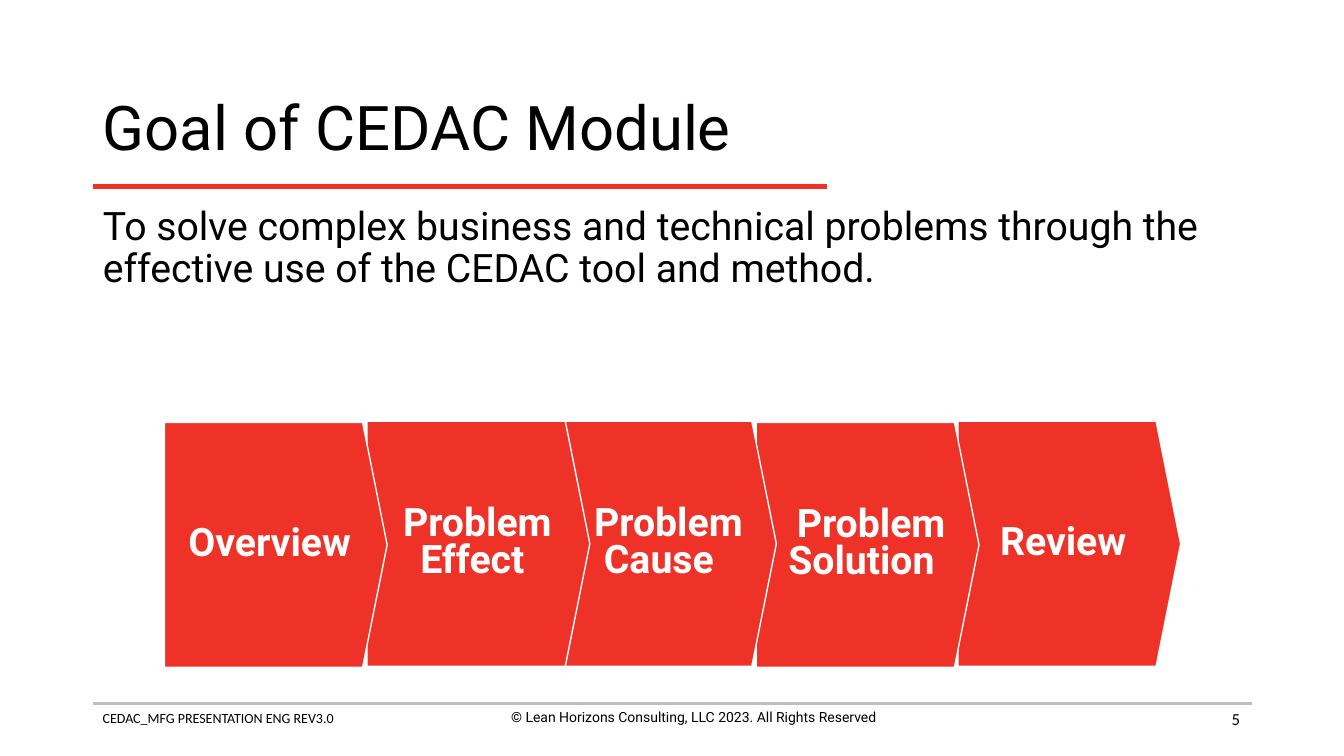
"""Build the CEDAC module goal slide with its five-stage process arrow."""
from dataclasses import dataclass

from lxml import etree
from pptx import Presentation
from pptx import util as u
from pptx.dml.color import RGBColor
from pptx.enum import shapes, text
from pptx.oxml.ns import qn

PX = 9144
COLORS = {"red": "EE3228", "grey": "BFBFBF", "black": "000000", "white": "FFFFFF"}
LEFT, CENTER, RIGHT = text.PP_ALIGN.LEFT, text.PP_ALIGN.CENTER, text.PP_ALIGN.RIGHT
TOP, MIDDLE = text.MSO_ANCHOR.TOP, text.MSO_ANCHOR.MIDDLE


@dataclass(frozen=True)
class Style:
    size: int
    font: str = "Roboto"
    color: str = "black"
    bold: bool = False
    align: int = LEFT
    anchor: int = TOP
    spacing: float = 1.0


@dataclass(frozen=True)
class Rule:
    x1: int
    x2: int
    y: int
    color: str
    width: int


@dataclass(frozen=True)
class Label:
    words: str
    box: tuple[int, int, int, int]
    style: Style


@dataclass(frozen=True)
class Stage:
    lines: tuple[str, ...]
    x: int
    y: int
    indent: int = 0


TITLE = Style(44, anchor=MIDDLE, spacing=0.9)
BODY = Style(28, spacing=0.9)
STAGE = Style(28, color="white", bold=True, align=CENTER, anchor=MIDDLE, spacing=0.8)
STAGE_W, STAGE_H, STAGE_TIP = 221, 243, 0.11

RULES = [Rule(92, 1242, 698, "grey", 2), Rule(92, 820, 185, "red", 3)]
LABELS = [
    Label("CEDAC_MFG PRESENTATION ENG REV3.0", (92, 699, 456, 27), Style(10, "Calibri")),
    Label("© Lean Horizons Consulting, LLC 2023. All Rights Reserved",
          (460, 698, 456, 44), Style(10, align=CENTER)),
    Label("5", (940, 693, 300, 40), Style(12, "Calibri", align=RIGHT, anchor=MIDDLE)),
]
STAGES = [
    Stage(("Review",), 950, 418),
    Stage(("Problem", "Solution"), 750, 419, 19),
    Stage(("Problem", "Cause"), 549, 418, 19),
    Stage(("Problem", "Effect"), 364, 418, 10),
    Stage(("Overview",), 163, 419),
]


def rgb(name: str) -> RGBColor:
    return RGBColor.from_string(COLORS[name])


def px(*lengths: int) -> list[int]:
    return [n * PX for n in lengths]


def write(sp, lines: tuple[str, ...], style: Style, indent: int = 0) -> None:
    tf = sp.text_frame
    tf.word_wrap = True
    tf.auto_size = text.MSO_AUTO_SIZE.NONE
    tf.vertical_anchor = style.anchor
    p = tf.paragraphs[0]
    pPr = p._p.get_or_add_pPr()
    pPr.set("marL", "0")
    pPr.set("indent", str(indent * PX))
    etree.SubElement(pPr, qn("a:buNone"))
    p.alignment = style.align
    p.line_spacing = style.spacing
    p.space_before = u.Pt(0)
    for i, line in enumerate(lines):
        if i:
            p.add_line_break()
        r = p.add_run()
        r.text = line
        r.font.name = style.font
        r.font.size = u.Pt(style.size)
        r.font.bold = style.bold
        r.font.color.rgb = rgb(style.color)


def place(sp, x: int, y: int, w: int, h: int) -> None:
    sp.left, sp.top, sp.width, sp.height = px(x, y, w, h)


def draw_rule(s, rule: Rule) -> None:
    line = s.shapes.add_connector(
        shapes.MSO_CONNECTOR.STRAIGHT, *px(rule.x1, rule.y, rule.x2, rule.y))
    line.line.color.rgb = rgb(rule.color)
    line.line.width = u.Pt(rule.width)
    etree.SubElement(line._element.spPr, qn("a:effectLst"))


def draw_stage(s, stage: Stage) -> None:
    sp = s.shapes.add_shape(
        shapes.MSO_SHAPE.PENTAGON, *px(stage.x, stage.y, STAGE_W, STAGE_H))
    sp.adjustments[0] = STAGE_TIP
    sp.shadow.inherit = False
    sp.fill.solid()
    sp.fill.fore_color.rgb = rgb("red")
    sp.line.color.rgb = rgb("white")
    sp.line.width = u.Pt(1)
    write(sp, stage.lines, STAGE, stage.indent)


def main() -> None:
    prs = Presentation()
    prs.slide_width, prs.slide_height = px(1333, 750)
    s = prs.slides.add_slide(prs.slide_layouts[1])
    title, body = s.shapes.title, s.placeholders[1]
    place(title, 92, 74, 1150, 110)
    write(title, ("Goal of CEDAC Module",), TITLE)
    place(body, 92, 200, 1150, 476)
    write(body, ("To solve complex business and technical problems through the",
                 "effective use of the CEDAC tool and method."), BODY)
    for rule in RULES:
        draw_rule(s, rule)
    for label in LABELS:
        write(s.shapes.add_textbox(*px(*label.box)), (label.words,), label.style)
    for stage in STAGES:
        draw_stage(s, stage)
    prs.save("out.pptx")


if __name__ == "__main__":
    main()
